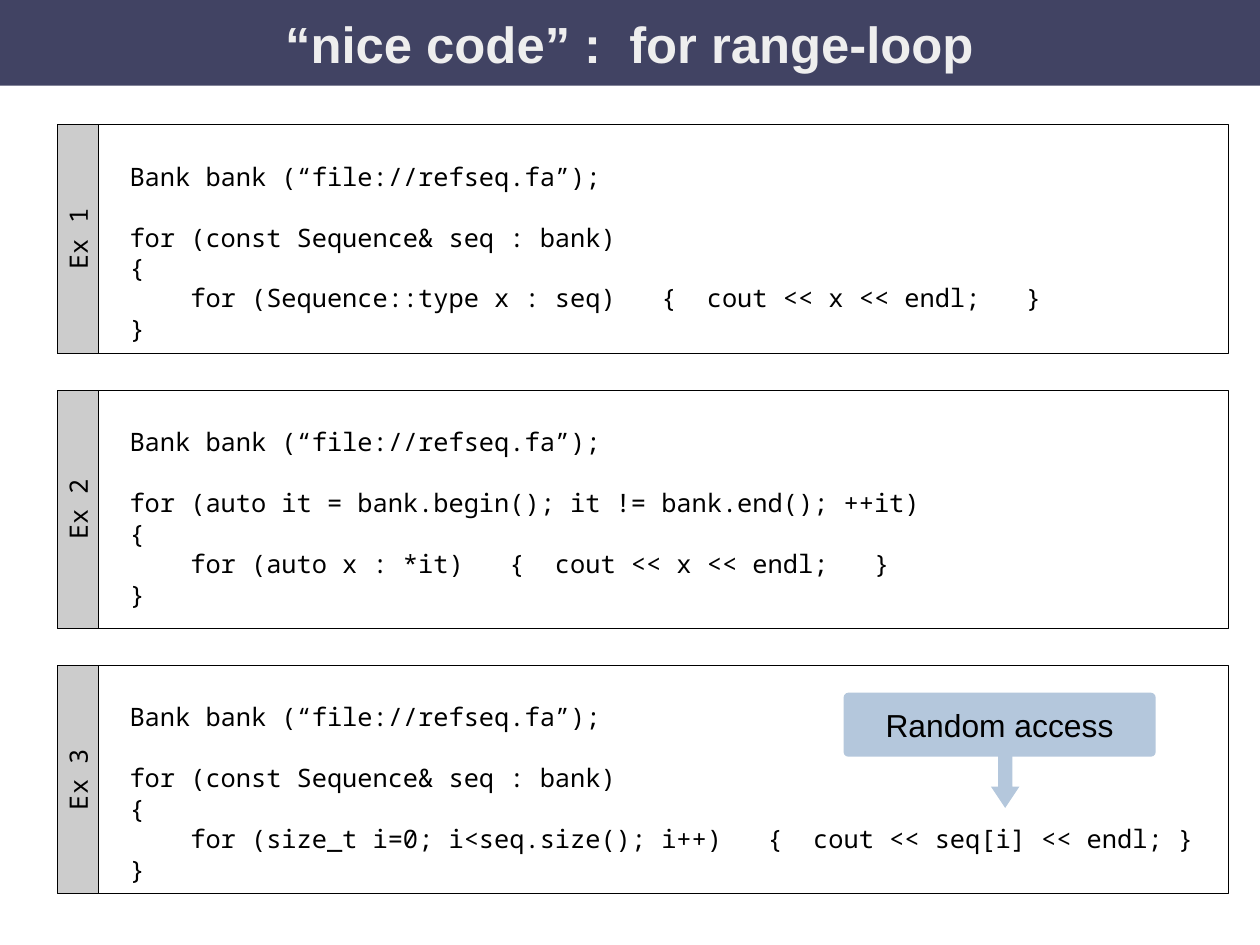
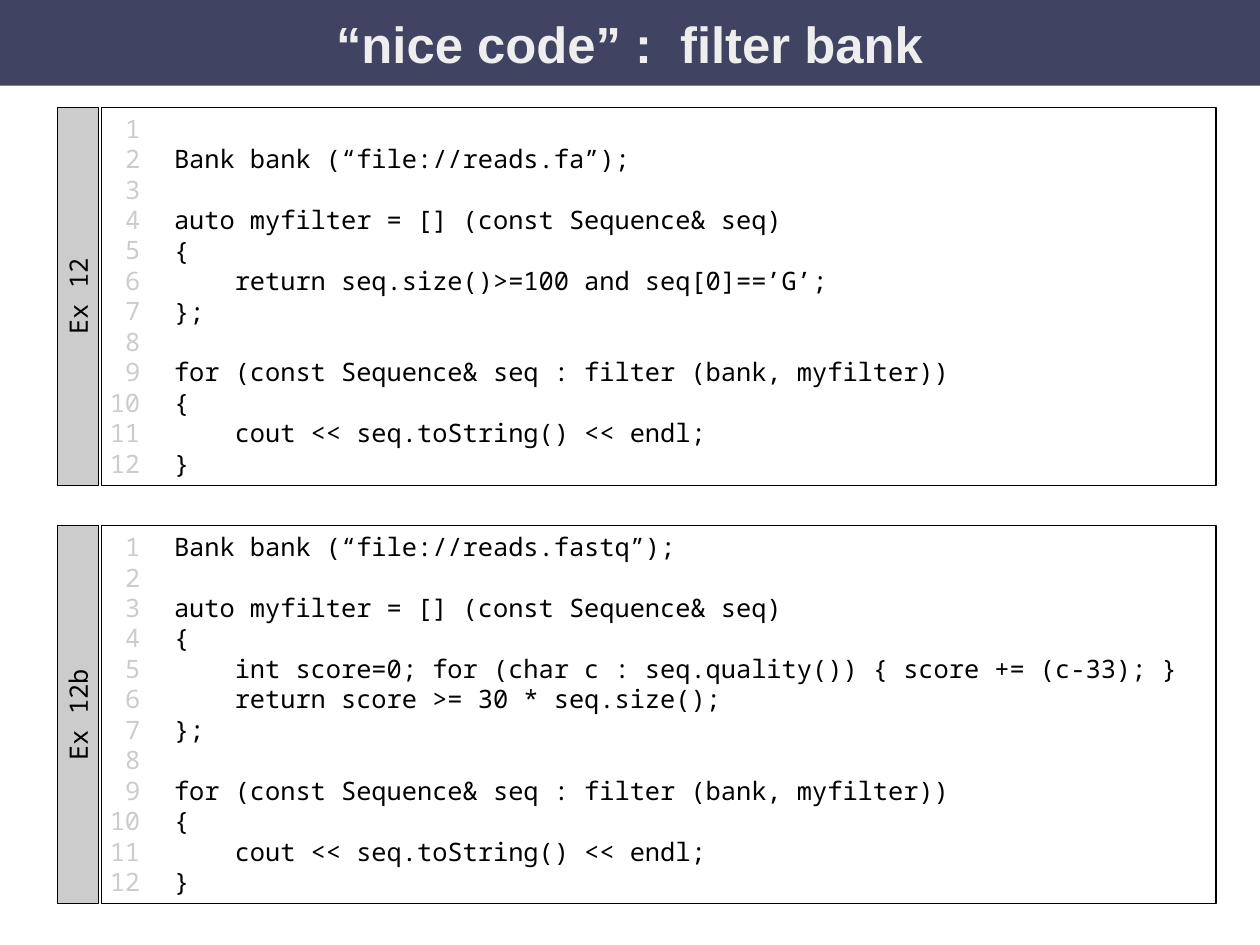
from pptx import Presentation
from pptx.dml.color import RGBColor
from pptx.enum.shapes import MSO_SHAPE
from pptx.enum.text import MSO_ANCHOR, MSO_AUTO_SIZE, PP_ALIGN
from pptx.util import Pt

LOOP = ["for (const Sequence& seq : bank)", "{"]
FILTER = ["auto myfilter = [] (const Sequence& seq)", "{"]
PRINT = [
    "};",
    "",
    "for (const Sequence& seq : filter (bank, myfilter))",
    "{",
    "    cout << seq.toString() << endl;",
    "}",
]
OPEN = ["", "Bank bank (“file://refseq.fa”);", ""]

DECK = [
    {
        "title": "“nice code” :  for range-loop",
        "left": 36, "width": 738, "top": 78.5, "gap": 23.3, "count": False,
        "panels": [
            ("Ex 1", 144, OPEN + LOOP + [
                "    for (Sequence::type x : seq)   {  cout << x << endl;   }",
                "}"]),
            ("Ex 2", 150, OPEN + [
                "for (auto it = bank.begin(); it != bank.end(); ++it)",
                "{",
                "    for (auto x : *it)   {  cout << x << endl;   }",
                "}"]),
            ("Ex 3", 144, OPEN + LOOP + [
                "    for (size_t i=0; i<seq.size(); i++)   {  cout << seq[i] << endl; }",
                "}"]),
        ],
        "note": "Random access",
    },
    {
        "title": "“nice code” :  filter bank",
        "left": 64, "width": 702, "top": 67.5, "gap": 25.3, "count": True,
        "panels": [
            ("Ex 12", 238.3, ["", "Bank bank (“file://reads.fa”);", ""] + FILTER + [
                "    return seq.size()>=100 and seq[0]==’G’;"] + PRINT),
            ("Ex 12b", 238.3, ["Bank bank (“file://reads.fastq”);", ""] + FILTER + [
                "    int score=0; for (char c : seq.quality()) { score += (c-33); }",
                "    return score >= 30 * seq.size();"] + PRINT),
        ],
    },
]

THEME = {
    "band": "414363", "strip": "CCCCCC", "call": "B4C7DC", "edge": "000000",
    "title": {"name": "Arial", "size": 32, "bold": True, "color": "EEEEEE"},
    "code": {"name": "Noto Sans Mono", "size": 16, "bold": False, "color": "000000"},
    "count": {"name": "Noto Sans Mono", "size": 16, "bold": False, "color": "CCCCCC"},
    "note": {"name": "Arial", "size": 20, "bold": False, "color": "000000"},
}
WIDE, HIGH = 793.7, 595.3
BAND = 54
STRIP = 26
PITCH = 19.2
CHAR = 9.6
PAD_X, PAD_Y = 7.2, 3.6


def put(item, vals):
    for key, val in vals.items():
        setattr(item, key, val)


def place(item, left, top, width, height):
    put(item, {"left": Pt(left), "top": Pt(top), "width": Pt(width), "height": Pt(height)})


def paint(shape, fill=None, edge=None):
    if fill:
        shape.fill.solid()
        shape.fill.fore_color.rgb = RGBColor.from_string(fill)
    else:
        shape.fill.background()
    if edge:
        shape.line.color.rgb = RGBColor.from_string(edge)
        shape.line.width = Pt(0)
    else:
        shape.line.fill.background()


def draw(slide, kind, spot, fill=None, edge=None):
    shape = slide.shapes.add_shape(kind, *map(Pt, spot))
    shape.shadow.inherit = False
    paint(shape, fill, edge)
    return shape


def write(shape, lines, style, align=PP_ALIGN.CENTER, anchor=MSO_ANCHOR.MIDDLE,
          left=PAD_X, right=PAD_X, wrap=True):
    frame = shape.text_frame
    put(frame, {
        "word_wrap": wrap, "auto_size": MSO_AUTO_SIZE.NONE, "vertical_anchor": anchor,
        "margin_left": Pt(left), "margin_right": Pt(right),
        "margin_top": Pt(PAD_Y), "margin_bottom": Pt(PAD_Y),
    })
    look = THEME[style]
    first, skip = True, 0
    for line in lines:
        if not line:
            skip += PITCH
            continue
        if first:
            para = frame.paragraphs[0]
            frame.margin_top = Pt(PAD_Y + skip)
        else:
            para = frame.add_paragraph()
            para.space_before = Pt(skip)
        para.alignment = align
        run = para.add_run()
        run.text = line
        put(run.font, {"name": look["name"], "size": Pt(look["size"]), "bold": look["bold"]})
        run.font.color.rgb = RGBColor.from_string(look["color"])
        first, skip = False, 0


def add_panel(slide, page, top, label, height, code):
    box = draw(slide, MSO_SHAPE.RECTANGLE, (page["left"], top, page["width"], height),
               edge=THEME["edge"])
    write(box, code, "code", PP_ALIGN.LEFT, MSO_ANCHOR.TOP, left=PAD_X + 4 * CHAR, right=0)
    if page["count"]:
        side = slide.shapes.add_textbox(Pt(62), Pt(top), Pt(36), Pt(height))
        write(side, [str(n + 1) for n in range(len(code))], "count",
              PP_ALIGN.RIGHT, MSO_ANCHOR.TOP, left=0, right=CHAR)
    spot = (36 + (STRIP - height) / 2, top + (height - STRIP) / 2, height, STRIP)
    strip = draw(slide, MSO_SHAPE.RECTANGLE, spot, THEME["strip"], THEME["edge"])
    strip.rotation = 270
    write(strip, [label], "code")


def add_note(slide, text):
    arrow = draw(slide, MSO_SHAPE.DOWN_ARROW, (624.2, 455, 18, 54), THEME["call"])
    arrow.adjustments[0], arrow.adjustments[1] = 0.5, 0.75
    card = draw(slide, MSO_SHAPE.ROUNDED_RECTANGLE, (531.4, 436.4, 196.6, 40.3), THEME["call"])
    card.adjustments[0] = 0.075
    write(card, [text], "note")


def add_page(deck, page):
    slide = deck.slides.add_slide(deck.slide_layouts[5])
    title = slide.shapes.title
    place(title, 0, 0, WIDE, BAND)
    paint(title, THEME["band"])
    write(title, [page["title"]], "title")
    top = page["top"]
    for label, height, code in page["panels"]:
        add_panel(slide, page, top, label, height, code)
        top += height + page["gap"]
    if "note" in page:
        add_note(slide, page["note"])


def main():
    deck = Presentation()
    put(deck, {"slide_width": Pt(WIDE), "slide_height": Pt(HIGH)})
    for page in DECK:
        add_page(deck, page)
    deck.save("out.pptx")


if __name__ == "__main__":
    main()
